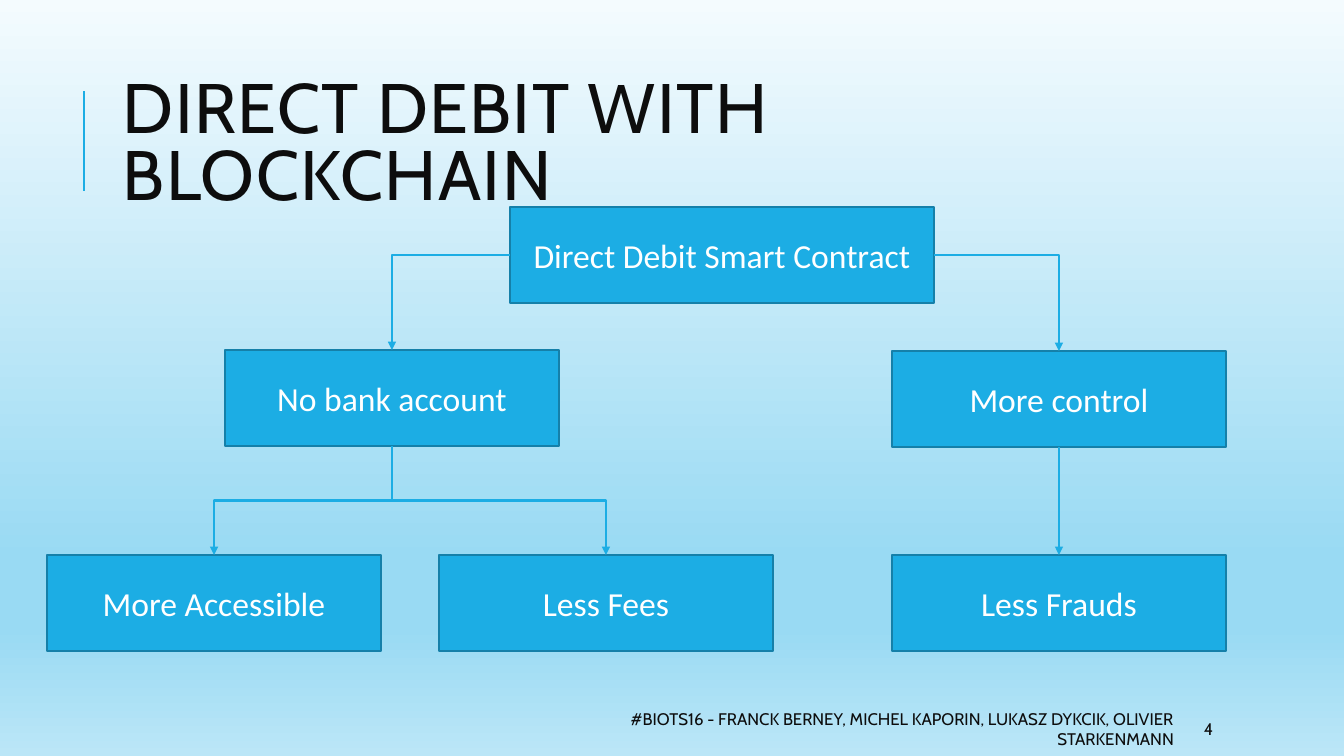
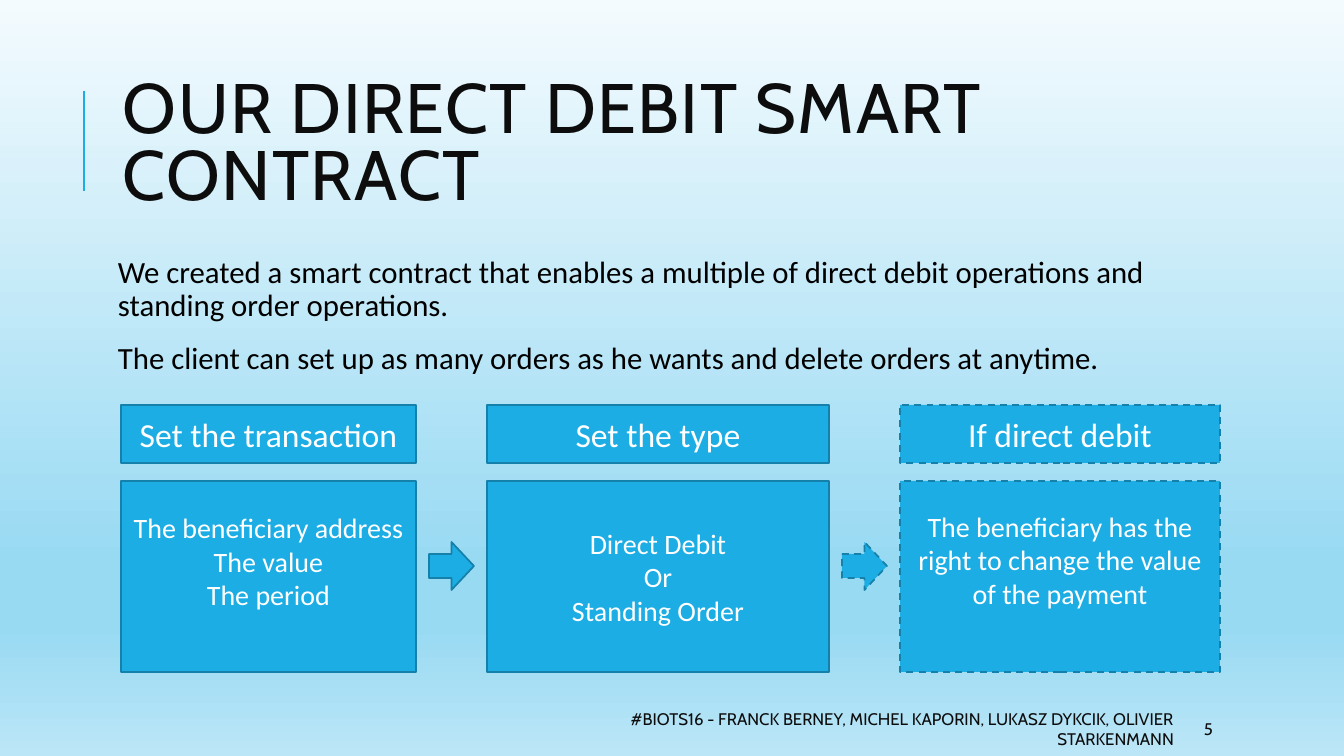
import lxml.etree
import pptx
import pptx.dml.color
import pptx.enum.dml
import pptx.enum.shapes
import pptx.enum.text
import pptx.oxml.ns
import pptx.util

PIXEL = 12192000 / 1344
COLORS = {
    "accent": "1CADE4",
    "border": "1580A9",
    "title": "0D0D0D",
    "body": "000000",
    "white": "FFFFFF",
}
BACKGROUND_STOPS = [(0, "F4FBFE"), (74, "99DAF3"), (83, "99DAF3"), (100, "BBE6F7")]
HEADING_FONT = "Cabin"
TEXT_FONT = "Calibri"
FOOTER = "#BIOTS16 - FRANCK BERNEY, MICHEL KAPORIN, LUKASZ DYKCIK, OLIVIER STARKENMANN"

ALIGN = pptx.enum.text.PP_ALIGN
ANCHOR = pptx.enum.text.MSO_ANCHOR
SHAPE = pptx.enum.shapes.MSO_SHAPE
CONNECTOR = pptx.enum.shapes.MSO_CONNECTOR
TOP, LEFT, BOTTOM, RIGHT = range(4)  # connection sites of a rectangle


def px(value):
    return pptx.util.Emu(round(value * PIXEL))


def rgb(name):
    return pptx.dml.color.RGBColor.from_string(COLORS[name])


def add_xml(parent, tag, **attributes):
    element = lxml.etree.SubElement(parent, pptx.oxml.ns.qn(tag))
    for key, value in attributes.items():
        element.set(key, str(value))
    return element


def place(shape, left, top, width, height):
    shape.left, shape.top = px(left), px(top)
    shape.width, shape.height = px(width), px(height)


def write_text(shape, lines, size, font=TEXT_FONT, color="white", align=ALIGN.LEFT,
               anchor=ANCHOR.MIDDLE, line_spacing=None, before=0, after=0,
               letter_spacing=None, insets=(10, 5, 10, 5)):
    frame = shape.text_frame
    frame.word_wrap = True
    frame.auto_size = pptx.enum.text.MSO_AUTO_SIZE.NONE
    frame.vertical_anchor = anchor
    frame.margin_left, frame.margin_top, frame.margin_right, frame.margin_bottom = map(px, insets)
    for index, line in enumerate(lines):
        paragraph = frame.add_paragraph() if index else frame.paragraphs[0]
        paragraph.alignment = align
        paragraph.space_before = pptx.util.Pt(before)
        paragraph.space_after = pptx.util.Pt(after)
        if line_spacing:
            paragraph.line_spacing = line_spacing
        run = paragraph.add_run()
        run.text = line
        run.font.size = pptx.util.Pt(size)
        run.font.name = font
        run.font.color.rgb = rgb(color)
        if letter_spacing:
            run.font._element.set("spc", str(letter_spacing))


def style_connector(connector, width):
    connector.line.color.rgb = rgb("accent")
    connector.line.width = pptx.util.Pt(width)
    add_xml(connector.element.spPr, "a:effectLst")


def add_box(slide, at, lines=(), preset=SHAPE.RECTANGLE, dashed=False, size=24, bottom_inset=5):
    shape = slide.shapes.add_shape(preset, *map(px, at))
    shape.shadow.inherit = False
    shape.fill.solid()
    shape.fill.fore_color.rgb = rgb("accent")
    shape.line.color.rgb = rgb("border")
    shape.line.width = pptx.util.Pt(1.25)
    if dashed:
        shape.line.dash_style = pptx.enum.dml.MSO_LINE.DASH
    if lines:
        write_text(shape, lines, size, align=ALIGN.CENTER, insets=(10, 5, 10, bottom_inset))
    return shape


def add_arrow(slide, source, source_site, target, preset):
    """Join a site of source to the top of target."""
    connector = slide.shapes.add_connector(CONNECTOR.STRAIGHT, 0, 0, 0, 0)
    connector.begin_connect(source, source_site)
    connector.end_connect(target, TOP)
    properties = connector.element.spPr
    properties.find(pptx.oxml.ns.qn("a:prstGeom")).set("prst", preset)
    if preset == "bentConnector3":
        # A quarter turn makes the elbow leave downwards
        run, drop = connector.end_x - connector.begin_x, connector.end_y - connector.begin_y
        center_x = (connector.begin_x + connector.end_x) // 2
        center_y = (connector.begin_y + connector.end_y) // 2
        connector.begin_x, connector.end_x = center_x - drop // 2, center_x + drop // 2
        connector.begin_y, connector.end_y = center_y + run // 2, center_y - run // 2
        properties.find(pptx.oxml.ns.qn("a:xfrm")).set("rot", "5400000")
    style_connector(connector, 2)
    add_xml(properties.find(pptx.oxml.ns.qn("a:ln")), "a:tailEnd", type="triangle")


def set_background(master):
    fill = master.background.fill
    fill.gradient()
    fill.gradient_angle = 270  # counter-clockwise: top to bottom
    stops = fill.gradient_stops[0]._gs.getparent()
    for stop in list(stops):
        stops.remove(stop)
    for position, color in BACKGROUND_STOPS:
        add_xml(add_xml(stops, "a:gs", pos=position * 1000), "a:srgbClr", val=color)


def add_slide(presentation, layout, title, number):
    slide = presentation.slides.add_slide(presentation.slide_layouts.get_by_name(layout))
    # Title with its accent line
    place(slide.shapes.title, 113, 64, 1072, 166)
    write_text(slide.shapes.title, [title], 50, font=HEADING_FONT, color="title",
               line_spacing=0.8, letter_spacing=100)
    accent = slide.shapes.add_connector(CONNECTOR.STRAIGHT, px(84), px(191), px(84), px(91))
    style_connector(accent, 1.5)
    # Footer and page number
    for text, left, width, align in [(FOOTER, 534, 650, ALIGN.RIGHT),
                                     (number, 1194, 107, ALIGN.LEFT)]:
        box = slide.shapes.add_textbox(px(left), px(714), px(width), px(30))
        write_text(box, [text], 12, font=HEADING_FONT, color="title", align=align)
    return slide


def add_body(slide, paragraphs):
    body = slide.placeholders[1]
    place(body, 113, 252, 1072, 444)
    write_text(body, paragraphs, 22, color="body", anchor=ANCHOR.TOP, line_spacing=0.9,
               before=12, after=2, insets=(5, 5, 5, 5))
    for paragraph in body.text_frame.paragraphs:
        properties = paragraph._p.get_or_add_pPr()
        properties.set("marL", "0")
        properties.set("indent", "0")
        add_xml(properties, "a:buNone")


def build_benefits(presentation):
    slide = add_slide(presentation, "Title Only", "DIRECT DEBIT WITH BLOCKCHAIN", "4")
    width, height = 334, 96
    contract = add_box(slide, (510, 207, 424, height), ["Direct Debit Smart Contract"])
    no_account, control, accessible, fees, frauds = [
        add_box(slide, (left, top, width, height), [text])
        for text, left, top in [("No bank account", 225, 350), ("More control", 892, 351),
                                ("More Accessible", 47, 555), ("Less Fees", 439, 555),
                                ("Less Frauds", 892, 555)]
    ]
    add_arrow(slide, contract, RIGHT, control, "bentConnector2")
    add_arrow(slide, contract, LEFT, no_account, "bentConnector2")
    add_arrow(slide, no_account, BOTTOM, accessible, "bentConnector3")
    add_arrow(slide, no_account, BOTTOM, fees, "bentConnector3")
    add_arrow(slide, control, BOTTOM, frauds, "straightConnector1")


def build_contract_steps(presentation):
    slide = add_slide(presentation, "Title and Content", "OUR DIRECT DEBIT SMART CONTRACT", "5")
    add_body(slide, [
        "We created a smart contract that enables a multiple of direct debit operations "
        "and standing order operations.",
        "The client can set up as many orders as he wants and delete orders at anytime.",
    ])
    # Header, details, width, bottom inset, dashed outline
    steps = [
        ("Set the transaction", ["The beneficiary address", "The value", "The period"],
         295, 36, False),
        ("Set the type", ["Direct Debit", "Or", "Standing Order"], 342, 5, False),
        ("If direct debit",
         ["The beneficiary has the right to change the value of the payment"], 320, 39, True),
    ]
    left, gap, arrow_width = 121, 71, 45
    for index, (header, details, width, bottom_inset, dashed) in enumerate(steps):
        if index:
            arrow_left = left - (gap + arrow_width) / 2
            add_box(slide, (arrow_left, 542, arrow_width, 48), preset=SHAPE.RIGHT_ARROW,
                    dashed=dashed)
        add_box(slide, (left, 405, width, 58), [header], dashed=dashed)
        add_box(slide, (left, 481, width, 191), details, dashed=dashed, size=20,
                bottom_inset=bottom_inset)
        left += width + gap


def main():
    presentation = pptx.Presentation()
    presentation.slide_width, presentation.slide_height = px(1344), px(756)
    set_background(presentation.slide_master)
    build_benefits(presentation)
    build_contract_steps(presentation)
    presentation.save("out.pptx")


main()
